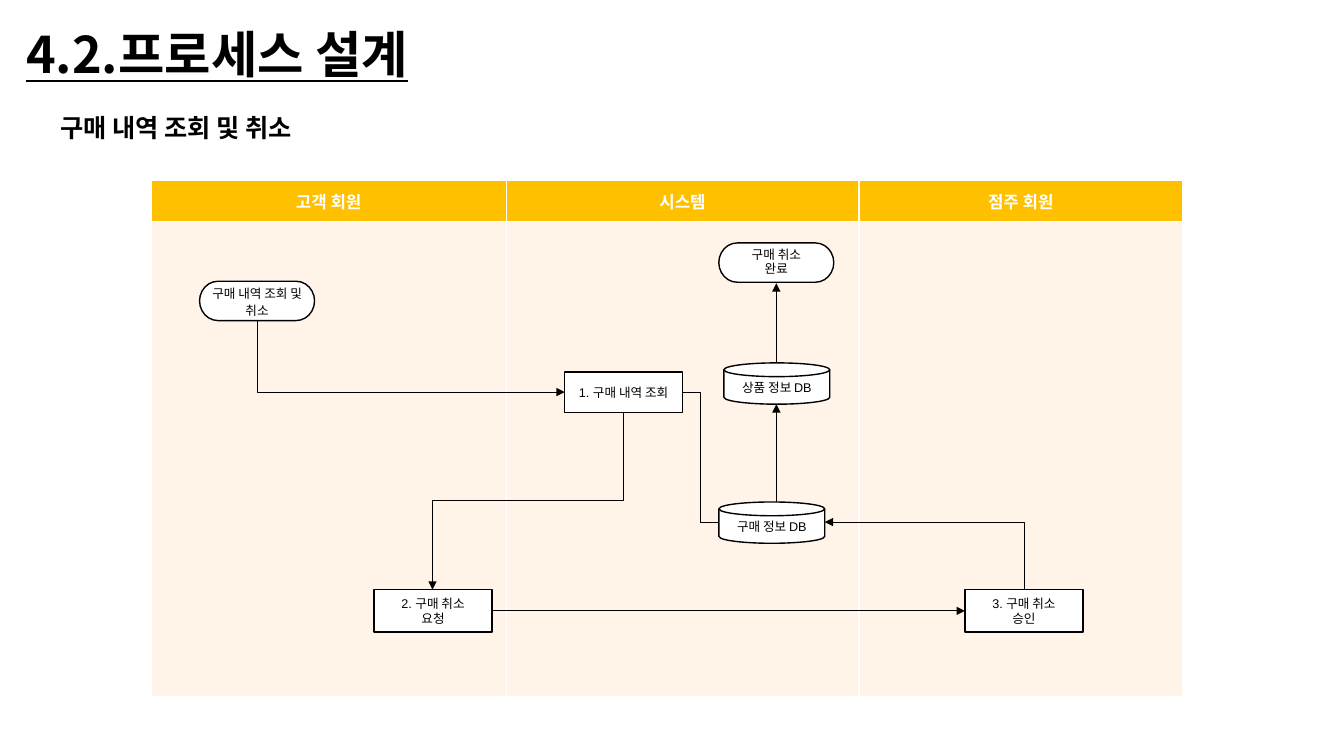
from typing import NamedTuple

from lxml.etree import SubElement
from pptx import Presentation
from pptx.dml.color import RGBColor
from pptx.enum.shapes import MSO_CONNECTOR, MSO_SHAPE
from pptx.enum.text import MSO_ANCHOR, MSO_AUTO_SIZE, PP_ALIGN
from pptx.oxml.ns import qn
from pptx.shapes.autoshape import Shape
from pptx.shapes.connector import Connector
from pptx.slide import Slide
from pptx.text.text import TextFrame
from pptx.util import Inches, Pt

BLACK = RGBColor(0x00, 0x00, 0x00)
WHITE = RGBColor(0xFF, 0xFF, 0xFF)
AMBER = RGBColor(0xFF, 0xC0, 0x00)
CREAM = RGBColor(0xFF, 0xF4, 0xE7)

LATIN_FONT = "Arial"
KOREAN_FONT = "Noto Sans CJK KR"

LANES = {"고객 회원": 3.52, "시스템": 3.5, "점주 회원": 3.21}
HEADER_HEIGHT, LANE_HEIGHT = 0.41, 4.71


class Kind(NamedTuple):
    preset: MSO_SHAPE
    width: float
    height: float
    side_inset: float = 0.02
    wrap: bool = True


STEP = Kind(MSO_SHAPE.RECTANGLE, 1.17, 0.42)
LOOKUP = Kind(MSO_SHAPE.RECTANGLE, 1.17, 0.4)
TERMINAL = Kind(MSO_SHAPE.FLOWCHART_TERMINATOR, 1.14, 0.39)
DATABASE = Kind(MSO_SHAPE.FLOWCHART_MAGNETIC_DISK, 1.05, 0.41, 0.04, False)


class Node(NamedTuple):
    text: str
    kind: Kind
    left: float
    top: float
    font: str = LATIN_FONT
    line_spacing: float = 1.0


class Elbow(NamedTuple):
    """A bent line; rotation turns its first leg (0 right, 90 down, 270 up)."""
    start: tuple[float, float]
    end: tuple[float, float]
    rotation: int
    preset: str
    arrow: bool = True


class Heading(NamedTuple):
    text: str
    left: float
    top: float
    width: float
    height: float
    size: int
    underline: bool


NODES = {
    "purchase_db": Node("구매 정보 DB", DATABASE, 7.13, 4.98),
    "lookup": Node("1. 구매 내역 조회", LOOKUP, 5.6, 3.69),
    "request": Node("2. 구매 취소\n요청", STEP, 3.71, 5.85),
    "start": Node("구매 내역 조회 및 취소", TERMINAL, 1.98, 2.79, KOREAN_FONT, 1.1),
    "done": Node("구매 취소\n완료", TERMINAL, 7.13, 2.41, LATIN_FONT, 0.9),
    "approval": Node("3. 구매 취소\n승인", STEP, 9.57, 5.85),
    "product_db": Node("상품 정보 DB", DATABASE, 7.18, 3.6),
}
ELBOWS = [
    Elbow((2.55, 3.18), (5.6, 3.89), 270, "bentConnector2"),
    Elbow((6.18, 4.09), (4.29, 5.85), 90, "bentConnector3"),
    Elbow((10.16, 5.85), (8.18, 5.18), 270, "bentConnector2"),
    Elbow((6.77, 3.89), (7.13, 5.18), 0, "bentConnector3", False),
]
DATABASE_AXIS = 7.7
RISING_ARROWS = [(3.6, 2.81), (4.98, 4.01)]
HEADINGS = [
    Heading("구매 내역 조회 및 취소", 0.5, 1.07, 7.04, 0.4, 18, False),
    Heading("4.2.프로세스 설계", 0.16, 0.18, 5.51, 0.71, 36, True),
]


def format_text(frame: TextFrame, font_name: str, size: float, color: RGBColor,
                bold: bool = False, underline: bool = False) -> None:
    for para in frame.paragraphs:
        for span in para.runs:
            font = span.font
            font.name, font.size, font.bold = font_name, Pt(size), bold
            font.underline = underline
            font.color.rgb = color
            if font_name == KOREAN_FONT:
                properties = span._r.get_or_add_rPr()
                SubElement(properties, qn("a:ea")).set("typeface", font_name)


def add_lanes(page: Slide) -> None:
    frame = page.shapes.add_table(2, len(LANES), Inches(1.5), Inches(1.79),
                                  Inches(sum(LANES.values())),
                                  Inches(HEADER_HEIGHT + LANE_HEIGHT))
    table = frame.table
    table.rows[0].height = Inches(HEADER_HEIGHT)
    table.rows[1].height = Inches(LANE_HEIGHT)
    for column, (name, width) in enumerate(LANES.items()):
        table.columns[column].width = Inches(width)
        header, lane = table.cell(0, column), table.cell(1, column)
        for cell, color in ((header, AMBER), (lane, CREAM)):
            cell.fill.solid()
            cell.fill.fore_color.rgb = color
        header.vertical_anchor = MSO_ANCHOR.MIDDLE
        header.text_frame.text = name
        header.text_frame.paragraphs[0].alignment = PP_ALIGN.CENTER
        format_text(header.text_frame, KOREAN_FONT, 12, WHITE, bold=True)


def add_node(page: Slide, node: Node) -> Shape:
    kind = node.kind
    shape = page.shapes.add_shape(kind.preset, Inches(node.left), Inches(node.top),
                                  Inches(kind.width), Inches(kind.height))
    shape.shadow.inherit = False
    shape.fill.solid()
    shape.fill.fore_color.rgb = WHITE
    shape.line.color.rgb = BLACK
    shape.line.width = Pt(1)
    frame = shape.text_frame
    frame.word_wrap = kind.wrap
    frame.vertical_anchor = MSO_ANCHOR.MIDDLE
    frame.margin_left = frame.margin_right = Inches(kind.side_inset)
    frame.margin_top = frame.margin_bottom = 0
    frame.text = node.text
    for para in frame.paragraphs:
        para.alignment = PP_ALIGN.CENTER
        para.line_spacing = node.line_spacing
    format_text(frame, node.font, 9, BLACK)
    return shape


def add_line(page: Slide, kind: MSO_CONNECTOR, start: tuple[float, float],
             end: tuple[float, float], width: float = 0.75,
             arrow: bool = True) -> Connector:
    line = page.shapes.add_connector(kind, *map(Inches, (*start, *end)))
    line.line.color.rgb = BLACK
    line.line.width = Pt(width)
    properties = line._element.spPr
    if arrow:
        SubElement(properties.find(qn("a:ln")), qn("a:tailEnd")).set("type", "triangle")
    SubElement(properties, qn("a:effectLst"))
    return line


def add_elbow(page: Slide, elbow: Elbow) -> None:
    (x1, y1), (x2, y2) = elbow.start, elbow.end
    center_x, center_y = (x1 + x2) / 2, (y1 + y2) / 2
    dx, dy = (x2 - x1) / 2, (y2 - y1) / 2
    # The ends are turned back around the centre before the rotation is applied.
    dx, dy = {0: (dx, dy), 90: (dy, -dx), 270: (-dy, dx)}[elbow.rotation]
    line = add_line(page, MSO_CONNECTOR.ELBOW, (center_x - dx, center_y - dy),
                    (center_x + dx, center_y + dy), arrow=elbow.arrow)
    properties = line._element.spPr
    properties.find(qn("a:xfrm")).set("rot", str(elbow.rotation * 60000))
    properties.find(qn("a:prstGeom")).set("prst", elbow.preset)


def add_heading(page: Slide, heading: Heading) -> None:
    box = page.shapes.add_textbox(Inches(heading.left), Inches(heading.top),
                                  Inches(heading.width), Inches(heading.height))
    frame = box.text_frame
    frame.word_wrap = True
    frame.auto_size = MSO_AUTO_SIZE.SHAPE_TO_FIT_TEXT
    frame.text = heading.text
    format_text(frame, KOREAN_FONT, heading.size, BLACK, True, heading.underline)


def main() -> None:
    deck = Presentation()
    deck.slide_width, deck.slide_height = Inches(13.33), Inches(7.5)
    page = deck.slides.add_slide(deck.slide_layouts[6])
    add_lanes(page)
    shapes = {name: add_node(page, node) for name, node in NODES.items()}
    for elbow in ELBOWS:
        add_elbow(page, elbow)
    submission = add_line(page, MSO_CONNECTOR.STRAIGHT, (4.88, 6.06), (9.57, 6.06))
    submission.begin_connect(shapes["request"], 3)
    submission.end_connect(shapes["approval"], 1)
    for bottom, top in RISING_ARROWS:
        add_line(page, MSO_CONNECTOR.STRAIGHT, (DATABASE_AXIS, bottom),
                 (DATABASE_AXIS, top), width=0.5)
    for heading in HEADINGS:
        add_heading(page, heading)
    deck.save("out.pptx")


if __name__ == "__main__":
    main()
